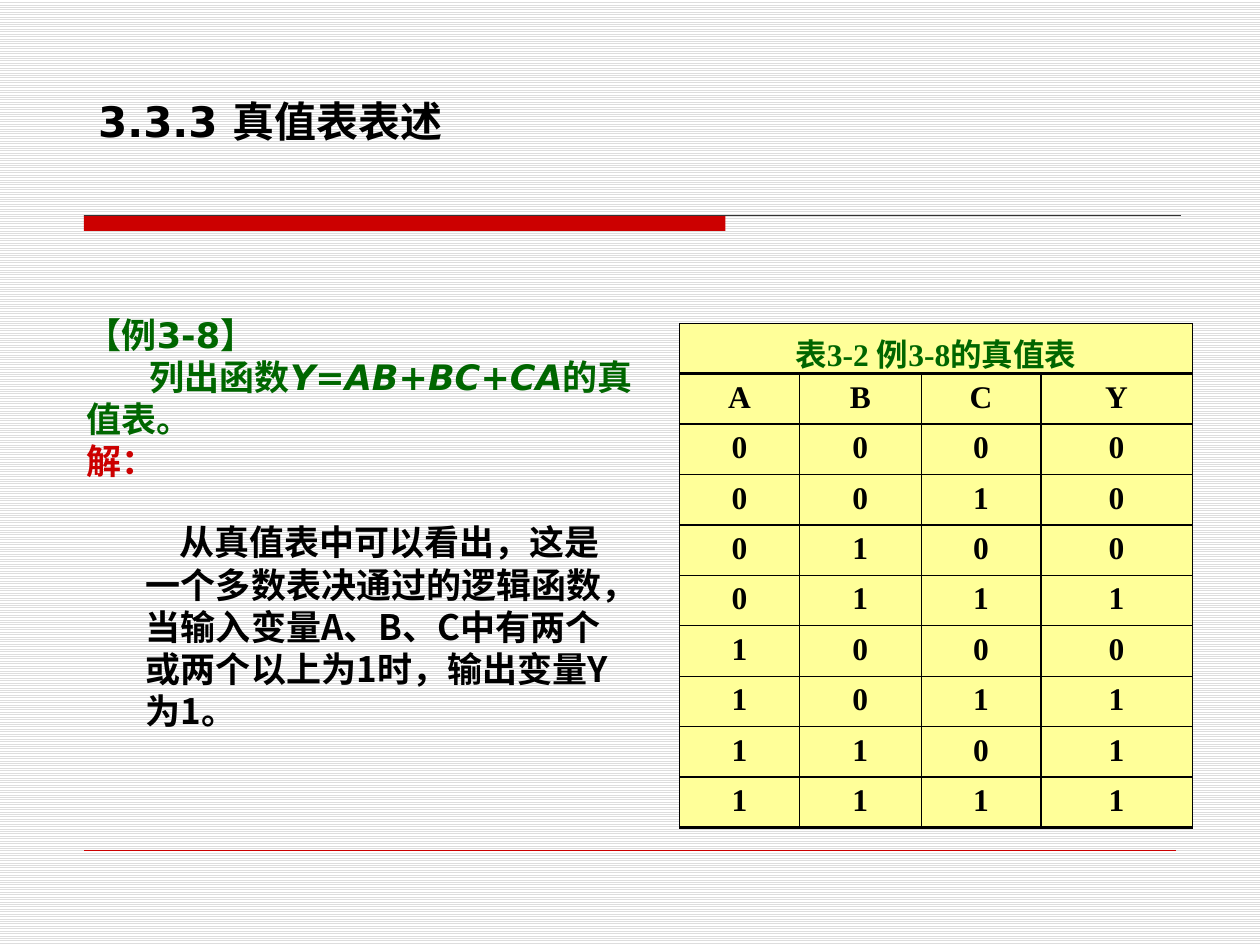
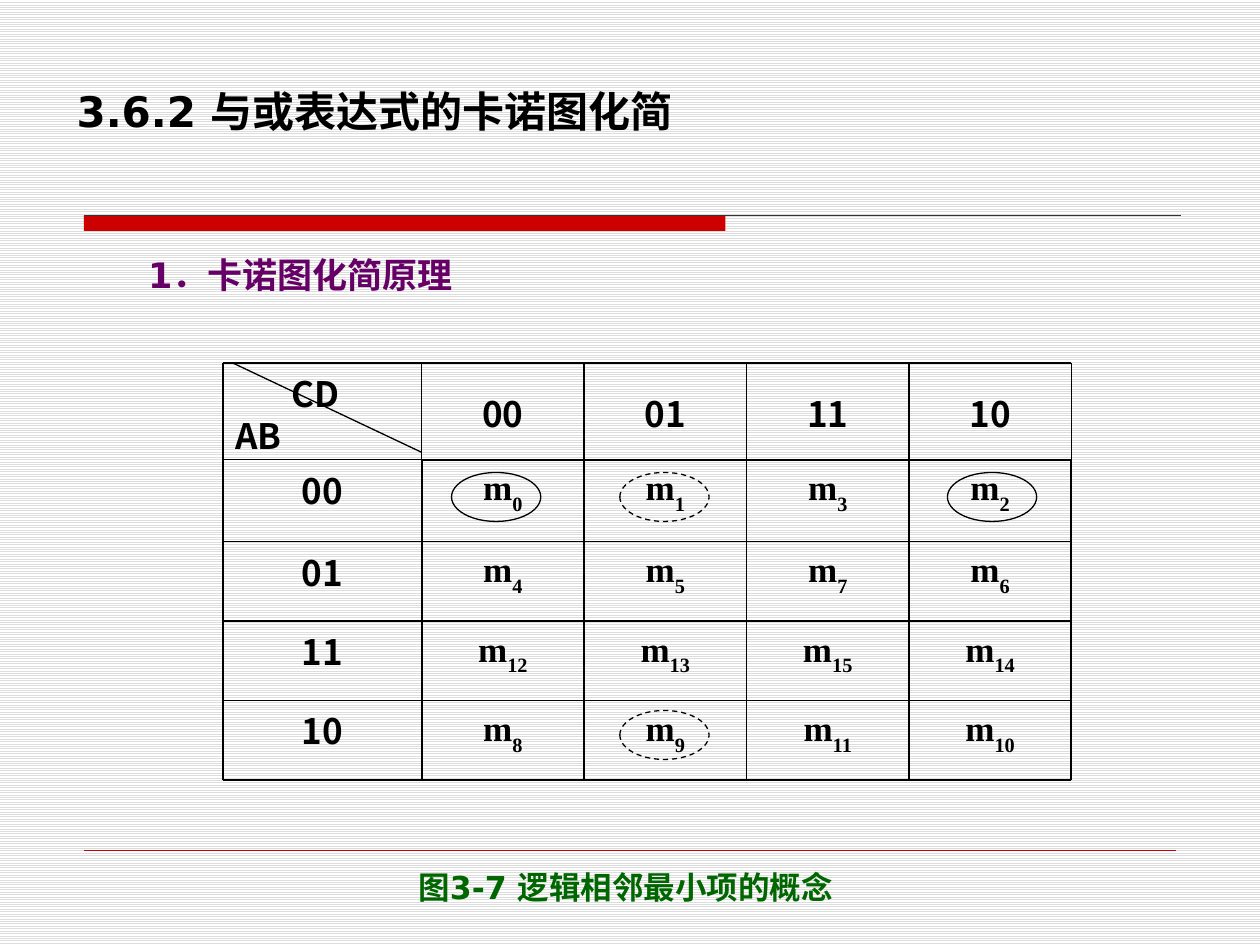
"""Builds two slides on logic functions: a truth table and a Karnaugh map."""
from itertools import accumulate, product

from lxml.etree import SubElement
from pptx import Presentation
from pptx.dml.color import RGBColor
from pptx.enum.dml import MSO_LINE, MSO_PATTERN
from pptx.enum.shapes import MSO_CONNECTOR, MSO_SHAPE
from pptx.enum.text import MSO_ANCHOR, PP_ALIGN
from pptx.oxml.ns import qn
from pptx.util import Pt

BLACK, RED, GREEN, PURPLE = "000000", "CC0000", "006600", "660066"
YELLOW, DARK, STRIPE, WHITE = "FFFF99", "333333", "DDDDDD", "FFFFFF"
SANS, HAN, SERIF = "DejaVu Sans", "Noto Sans CJK SC", "Times New Roman"

TRUTH_TITLE = "3.3.3 真值表表述"
EXAMPLE = [
    (["【例3-8】"], {}),
    (["列出函数", ("Y=AB", {"italic": True}), "+", ("BC", {"italic": True}), "+",
      ("CA", {"italic": True}), "的真值表。"], {"indent": 36}),
    ([("解：", {"color": RED})], {}),
]
CONCLUSION = ("从真值表中可以看出，这是一个多数表决通过的逻辑函数，"
              "当输入变量A、B、C中有两个或两个以上为1时，输出变量Y为1。")
TABLE_TITLE = "表3-2 例3-8的真值表"
TABLE_HEADER = ["A", "B", "C", "Y"]
MAJORITY = [[a, b, c, int(a + b + c >= 2)] for a, b, c in product((0, 1), repeat=3)]
TABLE_WIDTHS = [68.4, 69.6, 68.4, 86.4]
TABLE_ROW = 28.8

MAP_TITLE = "3.6.2 与或表达式的卡诺图化简"
MAP_HEADING = "1．卡诺图化简原理"
MAP_CAPTION = "图3-7 逻辑相邻最小项的概念"
GRAY_CODES = ["00", "01", "11", "10"]
MAP_X = list(accumulate([127.4, 113.6] + [92.8] * 4))
MAP_Y = list(accumulate([207.5, 55.2, 46.8] + [45.4] * 3))
CIRCLES = [(258, 270, False), (541.4, 270, False), (354.2, 270, True), (354.2, 406, True)]


def rgb(value):
    return RGBColor.from_string(value)


def write(frame, lines, size=20, font=SANS, color=BLACK, align=PP_ALIGN.LEFT, indent=0):
    frame.word_wrap = True
    if font != SERIF:
        frame.margin_top = Pt(round(3.6 + 0.09 * size, 2))
    for number, (spans, options) in enumerate(lines):
        para = frame.add_paragraph() if number else frame.paragraphs[0]
        para.alignment = align
        first_indent = options.get("indent", indent)
        if first_indent:
            para._p.get_or_add_pPr().set("indent", str(Pt(first_indent)))
        if font != SERIF:
            para.line_spacing = Pt(round(size * 1.2, 1))
        for item in spans:
            text, style = (item, {}) if isinstance(item, str) else item
            span = para.add_run()
            span.text = text
            span.font.size, span.font.bold = Pt(size), True
            span.font.italic = style.get("italic", False)
            span.font.name = font
            span.font.color.rgb = rgb(style.get("color", color))
            properties = span._r.get_or_add_rPr()
            SubElement(properties, qn("a:ea")).set("typeface", HAN)
            if style.get("subscript"):
                properties.set("baseline", "-30000")


def add_text(page, place, content, anchor=MSO_ANCHOR.TOP, **text_format):
    box = page.shapes.add_textbox(*map(Pt, place))
    box.text_frame.vertical_anchor = anchor
    lines = [([content], {})] if isinstance(content, str) else content
    write(box.text_frame, lines, **text_format)


def add_line(page, x1, y1, x2, y2, color=BLACK, width=0.75):
    line = page.shapes.add_connector(MSO_CONNECTOR.STRAIGHT, *map(Pt, (x1, y1, x2, y2)))
    line.line.color.rgb, line.line.width = rgb(color), Pt(width)
    SubElement(line._element.spPr, qn("a:effectLst"))


def add_page(deck, title, place):
    page = deck.slides.add_slide(deck.slide_layouts[6])
    bar = page.shapes.add_shape(MSO_SHAPE.RECTANGLE, Pt(48), Pt(123), Pt(366.5), Pt(9))
    bar.shadow.inherit = False
    bar.fill.solid()
    bar.fill.fore_color.rgb = rgb(RED)
    bar.line.fill.background()
    add_line(page, 48, 123, 674.6, 123, color=DARK)
    add_line(page, 48, 486, 672, 486, color=RED, width=0.25)
    add_text(page, place, title, size=24)
    return page


def set_borders(cell, **widths):
    properties = cell._tc.get_or_add_tcPr()
    for side in "LRTB":
        line = SubElement(properties, qn(f"a:ln{side}"), w=str(Pt(widths.get(side, 0.75))))
        SubElement(SubElement(line, qn("a:solidFill")), qn("a:srgbClr")).set("val", BLACK)


def add_truth_table(page):
    rows = [[TABLE_TITLE, "", "", ""], TABLE_HEADER] + MAJORITY
    frame = page.shapes.add_table(len(rows), len(TABLE_HEADER), Pt(388.4), Pt(184.8),
                                  Pt(sum(TABLE_WIDTHS)), Pt(TABLE_ROW * len(rows)))
    table = frame.table
    table.first_row = table.horz_banding = False
    for column, width in zip(table.columns, TABLE_WIDTHS):
        column.width = Pt(width)
    table.cell(0, 0).merge(table.cell(0, 3))
    row_lines = [0.75, 2, 1] + [0.75] * (len(rows) - 3) + [2]
    for i, values in enumerate(rows):
        table.rows[i].height = Pt(TABLE_ROW)
        for j, value in enumerate(values):
            cell = table.cell(i, j)
            set_borders(cell, T=row_lines[i], B=row_lines[i + 1],
                        L=1 if i and j == 3 else 0.75, R=1 if i and j == 2 else 0.75)
            cell.fill.solid()
            cell.fill.fore_color.rgb = rgb(YELLOW)
            cell.margin_bottom = 0
            if value != "":
                write(cell.text_frame, [([str(value)], {})], size=18, font=SERIF,
                      color=BLACK if i else GREEN, align=PP_ALIGN.CENTER)


def map_cell(row, column):
    left, top = MAP_X[column], MAP_Y[row]
    return left, top, MAP_X[column + 1] - left, MAP_Y[row + 1] - top


def add_karnaugh_map(page):
    centred = {"align": PP_ALIGN.CENTER}
    add_text(page, map_cell(0, 0), [(["CD"], {"indent": 32}), (["AB"], {})], font=HAN)
    for i, code in enumerate(GRAY_CODES, 1):
        add_text(page, map_cell(0, i), code, anchor=MSO_ANCHOR.MIDDLE, font=HAN, **centred)
        add_text(page, map_cell(i, 0), code, font=HAN, **centred)
        for j, low in enumerate(GRAY_CODES, 1):
            minterm = ["m", (str(int(code + low, 2)), {"subscript": True})]
            add_text(page, map_cell(i, j), [(minterm, {})], font=SERIF, **centred)
    for i, y in enumerate(MAP_Y):
        add_line(page, MAP_X[0], y, MAP_X[1], y)
        add_line(page, MAP_X[1], y, MAP_X[-1], y, width=1 if i else 0.75)
    for i, x in enumerate(MAP_X):
        add_line(page, x, MAP_Y[0], x, MAP_Y[1])
        add_line(page, x, MAP_Y[1], x, MAP_Y[-1], width=1 if i else 0.75)
    add_line(page, 133.2, MAP_Y[0], MAP_X[1], 258.5)
    for left, top, dashed in CIRCLES:
        circle = page.shapes.add_shape(MSO_SHAPE.OVAL, Pt(left), Pt(top), Pt(51), Pt(28))
        circle.shadow.inherit = False
        circle.fill.background()
        circle.line.color.rgb, circle.line.width = rgb(BLACK), Pt(0.75)
        if dashed:
            circle.line.dash_style = MSO_LINE.DASH


def main():
    deck = Presentation()
    deck.slide_width, deck.slide_height = Pt(720), Pt(540)
    backdrop = deck.slide_master.background.fill
    backdrop.patterned()
    backdrop.pattern = MSO_PATTERN.LIGHT_HORIZONTAL
    backdrop.fore_color.rgb, backdrop.back_color.rgb = rgb(STRIPE), rgb(WHITE)

    page = add_page(deck, TRUTH_TITLE, (49, 49, 306, 36))
    add_text(page, (42.5, 173.5, 334.8, 103), EXAMPLE, color=GREEN)
    add_truth_table(page)
    add_text(page, (76.3, 292.3, 283.7, 127.4), CONCLUSION, font=HAN, indent=19)

    page = add_page(deck, MAP_TITLE, (36.7, 43.2, 544.3, 36))
    add_text(page, (70.6, 139.7, 249.8, 31), MAP_HEADING, color=PURPLE, indent=7)
    add_text(page, (193, 491, 329, 28.8), MAP_CAPTION, size=18, color=GREEN,
             align=PP_ALIGN.CENTER)
    add_karnaugh_map(page)
    deck.save("out.pptx")


if __name__ == "__main__":
    main()
